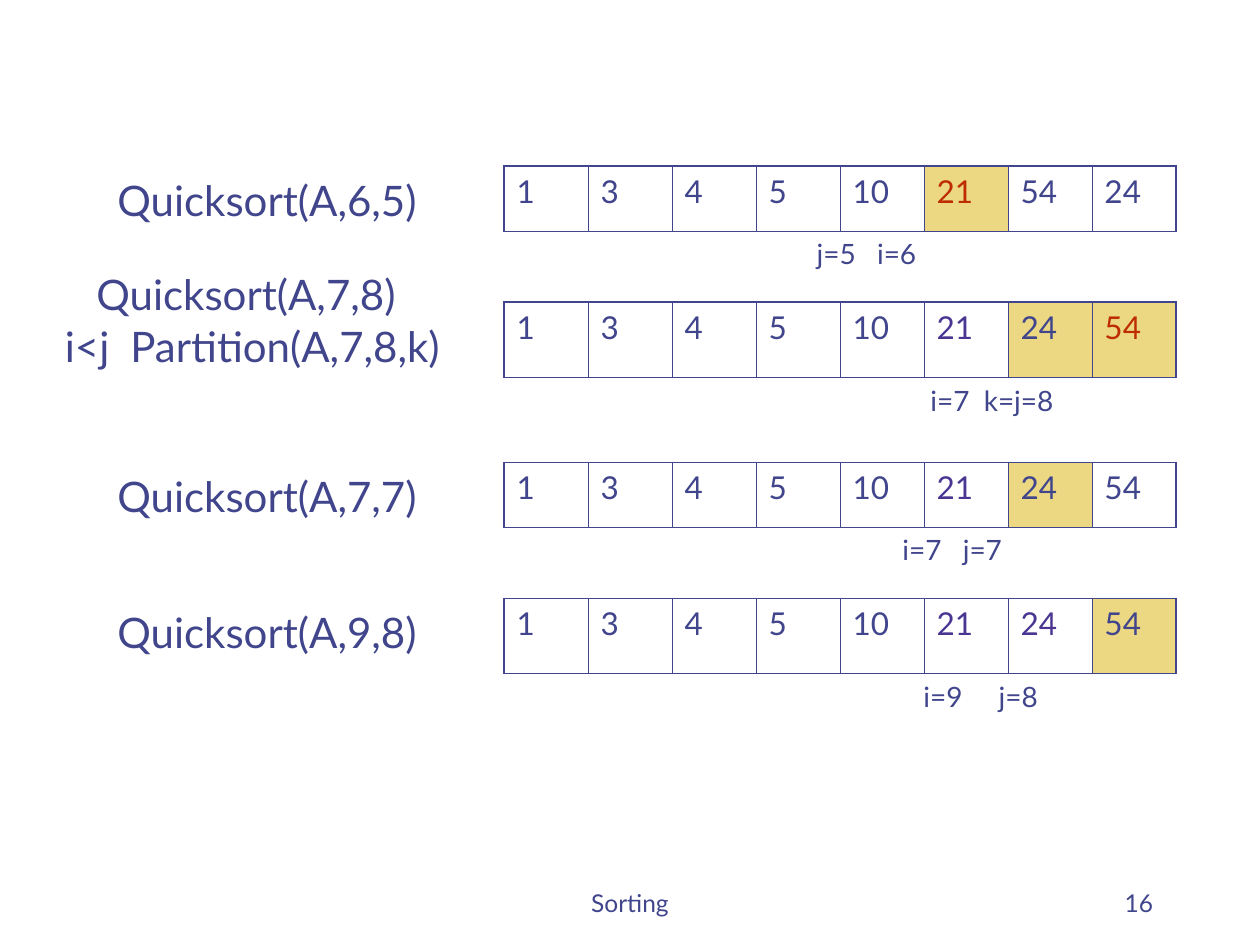
from dataclasses import dataclass

from lxml.etree import SubElement
from pptx import Presentation
from pptx.dml.color import RGBColor
from pptx.enum.text import MSO_ANCHOR, PP_ALIGN
from pptx.oxml.ns import qn
from pptx.util import Pt


@dataclass(frozen=True)
class Theme:
    font: str = "Lato"
    ink: str = "40458C"
    placed: str = "4A3692"
    pivot: str = "BE2D00"
    active: str = "ECD882"
    label: int = 24
    value: int = 18
    caption: int = 16
    footer: int = 14
    thick: float = 1.08
    thin: float = 0.45


THEME = Theme()
LABEL_W, LABEL_H = 252, 36
TABLE_X, TABLE_W, CAPTION_H = 288, 384, 26.5


def write(tf, text, size, color=THEME.ink, align=PP_ALIGN.LEFT, tabs=()):
    """Fill the first paragraph; tabs are the stops in points for its tabs."""
    p = tf.paragraphs[0]
    p.alignment = align
    if tabs:
        tab_list = SubElement(p._p.get_or_add_pPr(), qn("a:tabLst"))
        for stop in tabs:
            SubElement(tab_list, qn("a:tab"), pos=str(Pt(stop)), algn="l")
    r = p.add_run()
    r.text = text
    r.font.name = THEME.font
    r.font.size = Pt(size)
    r.font.color.rgb = RGBColor.from_string(color)


def add_text(s, box, text, size, anchor=MSO_ANCHOR.TOP, **fmt):
    tf = s.shapes.add_textbox(*map(Pt, box)).text_frame
    tf.word_wrap = True
    tf.vertical_anchor = anchor
    write(tf, text, size, **fmt)


def set_borders(cell, left=0, right=0, top=0, bottom=0):
    """Draw each side at its width in points; zero means no line."""
    tcPr = cell._tc.get_or_add_tcPr()
    sides = {"a:lnL": left, "a:lnR": right, "a:lnT": top, "a:lnB": bottom}
    for tag, width in sides.items():
        ln = SubElement(tcPr, qn(tag), w=str(Pt(width)))
        if width:
            fill = SubElement(ln, qn("a:solidFill"))
            SubElement(fill, qn("a:srgbClr"), val=THEME.ink)
        else:
            SubElement(ln, qn("a:noFill"))


def add_array(s, box, values, active, colors, caption, tabs):
    """Draw the array cells with a row of index positions beneath."""
    x, y, w, h = box
    n = len(values)
    table = s.shapes.add_table(2, n, *map(Pt, box)).table
    table.first_row = table.horz_banding = False
    table.rows[0].height, table.rows[1].height = Pt(h - CAPTION_H), Pt(CAPTION_H)
    for i, value in enumerate(values):
        table.columns[i].width = Pt(w / n)
        cell, below = table.cell(0, i), table.cell(1, i)
        set_borders(cell, top=THEME.thick, bottom=THEME.thin,
                    left=THEME.thin if i else THEME.thick,
                    right=THEME.thin if i < n - 1 else THEME.thick)
        set_borders(below, top=THEME.thin)
        below.fill.background()
        if i in active:
            cell.fill.solid()
            cell.fill.fore_color.rgb = RGBColor.from_string(THEME.active)
        else:
            cell.fill.background()
        write(cell.text_frame, str(value), THEME.value, colors.get(i, THEME.ink))
    note = table.cell(1, 0)
    note.merge(table.cell(1, n - 1))
    write(note.text_frame, caption, THEME.caption, tabs=tabs)


def add_step(s, top, height, labels, **array):
    """Place one call: labels as (x, y offset, text, tabs), then its array."""
    for x, dy, text, tabs in labels:
        add_text(s, (x, top + dy, LABEL_W, LABEL_H), text, THEME.label,
                 align=PP_ALIGN.JUSTIFY, tabs=tabs)
    add_array(s, (TABLE_X, top, TABLE_W, height), **array)


def add_footer(s, top, height):
    for x, w, text, align in ((246, 228, "Sorting", PP_ALIGN.CENTER),
                              (516, 150, "16", PP_ALIGN.RIGHT)):
        add_text(s, (x, top, w, height), text, THEME.footer,
                 anchor=MSO_ANCHOR.BOTTOM, align=align)


def main():
    prs = Presentation()
    prs.slide_width, prs.slide_height = Pt(720), Pt(540)
    s = prs.slides.add_slide(prs.slide_layouts[6])
    add_footer(s, 492, 36)

    start = [1, 3, 4, 5, 10, 21]
    final = start + [24, 54]
    placed, pivot = THEME.placed, THEME.pivot
    add_step(s, 95, 63.5, [(60, 1, "Quicksort(A,6,5)", ())],
             values=start + [54, 24], active={5}, colors={5: pivot},
             caption="\tj=5\ti=6", tabs=(171.5, 206))
    add_step(s, 172.75, 69.5, [(48, -23, "Quicksort(A,7,8)", ()),
                               (30, 7, "i<j\tPartition(A,7,8,k)", (37.5,))],
             values=final, active={6, 7}, colors={5: placed, 7: pivot},
             caption="\ti=7\tk=j=8", tabs=(236.5, 267))
    add_step(s, 264.25, 63.5, [(60, 1, "Quicksort(A,7,7)", ())],
             values=final, active={6}, colors={5: placed},
             caption="\ti=7\tj=7", tabs=(220.5, 255))
    add_step(s, 342, 69.5, [(60, 1, "Quicksort(A,9,8)", ())],
             values=final, active={7}, colors={5: placed, 6: placed},
             caption="\ti=9\tj=8", tabs=(232.5, 275.5))
    prs.save("out.pptx")


if __name__ == "__main__":
    main()
